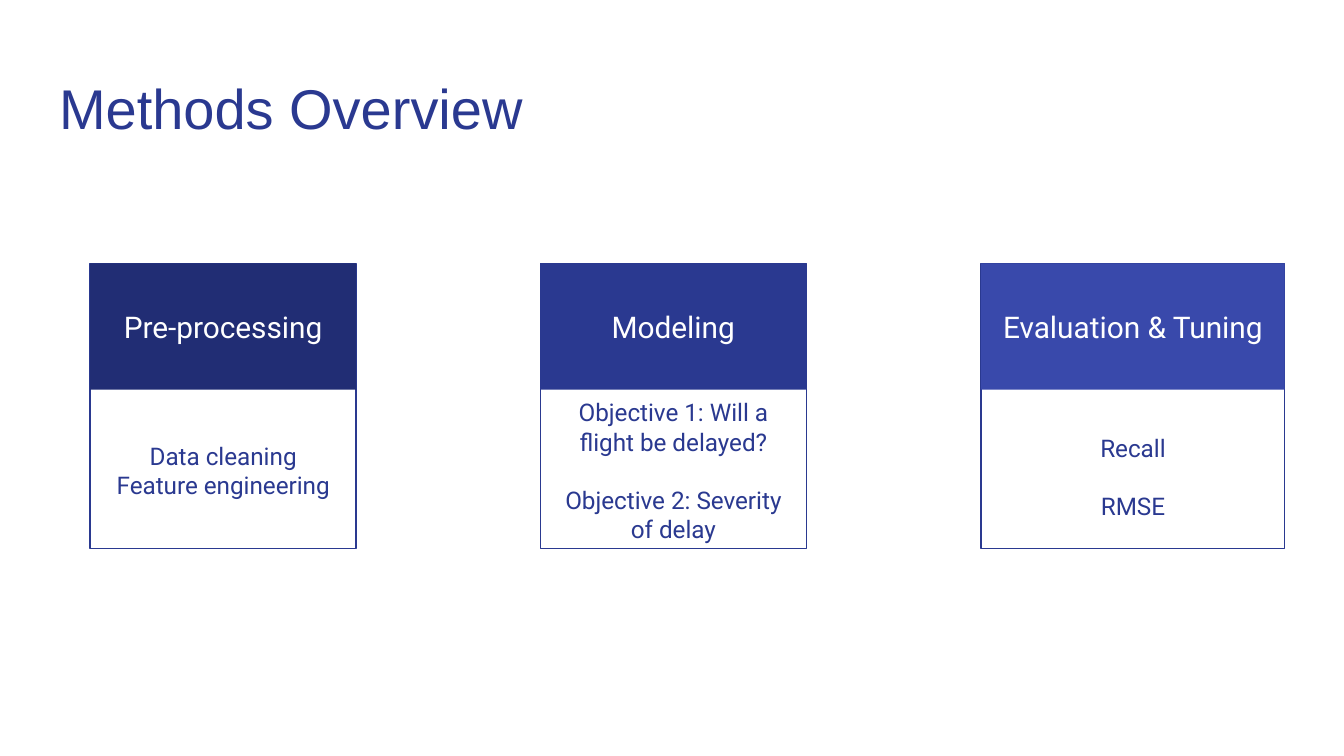
import pptx
import pptx.util
import pptx.dml.color
import pptx.enum.shapes
import pptx.enum.text
import pptx.oxml

Inches = pptx.util.Inches
Pt = pptx.util.Pt
Align = pptx.enum.text.PP_ALIGN
Anchor = pptx.enum.text.MSO_ANCHOR

TITLE = "Methods Overview"
STAGES = [
    {"name": "Pre-processing", "color": "212D74", "left": 0.67, "width": 1.98,
     "items": ["Data cleaning", "Feature engineering"], "gap": 0, "middle": 3.5},
    {"name": "Modeling", "color": "2A3990", "left": 4.02, "width": 1.98,
     "items": ["Objective 1: Will a flight be delayed?",
               "Objective 2: Severity of delay"], "gap": 15.5, "middle": 3.5},
    {"name": "Evaluation & Tuning", "color": "3949AB", "left": 7.3, "width": 2.26,
     "items": ["Recall", "RMSE"], "gap": 15.5, "middle": 3.55},
]
THEME = {
    "ink": "2A3990", "light": "FFFFFF",
    "title_font": "Arial", "body_font": "Roboto",
    "title_size": 30, "header_size": 16, "body_size": 13,
    "line_width": 0.75, "inset": 0.1,
}
TOP, CARD_HEIGHT, HEADER_HEIGHT, BODY_HEIGHT = 1.96, 2.12, 0.94, 1.08


def rgb(value):
    return pptx.dml.color.RGBColor.from_string(value)


def place(shape, left, top, width, height):
    shape.left, shape.top = Inches(left), Inches(top)
    shape.width, shape.height = Inches(width), Inches(height)


def write(shape, lines, font, size, color, align, anchor, gap=0):
    frame = shape.text_frame
    frame.text = "\n".join(lines)
    frame.word_wrap = True
    frame.auto_size = pptx.enum.text.MSO_AUTO_SIZE.NONE
    frame.vertical_anchor = anchor
    frame.margin_left = frame.margin_right = Inches(THEME["inset"])
    frame.margin_top = frame.margin_bottom = Inches(THEME["inset"])
    for index, paragraph in enumerate(frame.paragraphs):
        properties = paragraph._p.get_or_add_pPr()
        properties.set("marL", "0")
        properties.set("indent", "0")
        properties.append(pptx.oxml.parse_xml(
            '<a:buNone xmlns:a="http://schemas.openxmlformats.org/drawingml/2006/main"/>'))
        paragraph.alignment = align
        paragraph.space_before = Pt(gap if index else 0)
        paragraph.font.name = font
        paragraph.font.size = Pt(size)
        paragraph.font.bold = False
        paragraph.font.color.rgb = rgb(color)


def add_rectangle(slide, left, width, height):
    shape = slide.shapes.add_shape(
        pptx.enum.shapes.MSO_SHAPE.RECTANGLE,
        Inches(left), Inches(TOP), Inches(width), Inches(height))
    shape.shadow.inherit = False
    return shape


def add_stage(slide, stage, body):
    left, width = stage["left"], stage["width"]
    card = add_rectangle(slide, left, width, CARD_HEIGHT)
    card.fill.background()
    card.line.color.rgb = rgb(THEME["ink"])
    card.line.width = Pt(THEME["line_width"])

    header = add_rectangle(slide, left, width, HEADER_HEIGHT)
    header.fill.solid()
    header.fill.fore_color.rgb = rgb(stage["color"])
    header.line.fill.background()
    write(header, [stage["name"]], THEME["body_font"], THEME["header_size"],
          THEME["light"], Align.CENTER, Anchor.MIDDLE)

    place(body, left, stage["middle"] - BODY_HEIGHT / 2, width, BODY_HEIGHT)
    write(body, stage["items"], THEME["body_font"], THEME["body_size"],
          THEME["ink"], Align.CENTER, Anchor.MIDDLE, stage["gap"])


def main():
    presentation = pptx.Presentation()
    presentation.slide_width = Inches(10)
    presentation.slide_height = Inches(10 * 9 / 16)
    comparison_layout = presentation.slide_layouts[4]
    slide = presentation.slides.add_slide(comparison_layout)
    title, *bodies = list(slide.placeholders)

    place(title, 0.34, 0.45, 8.44, 0.66)
    write(title, [TITLE], THEME["title_font"], THEME["title_size"],
          THEME["ink"], Align.LEFT, Anchor.TOP)
    for stage, body in zip(STAGES, bodies):
        add_stage(slide, stage, body)
    for unused in bodies[len(STAGES):]:
        unused._element.getparent().remove(unused._element)
    presentation.save("out.pptx")


if __name__ == "__main__":
    main()
